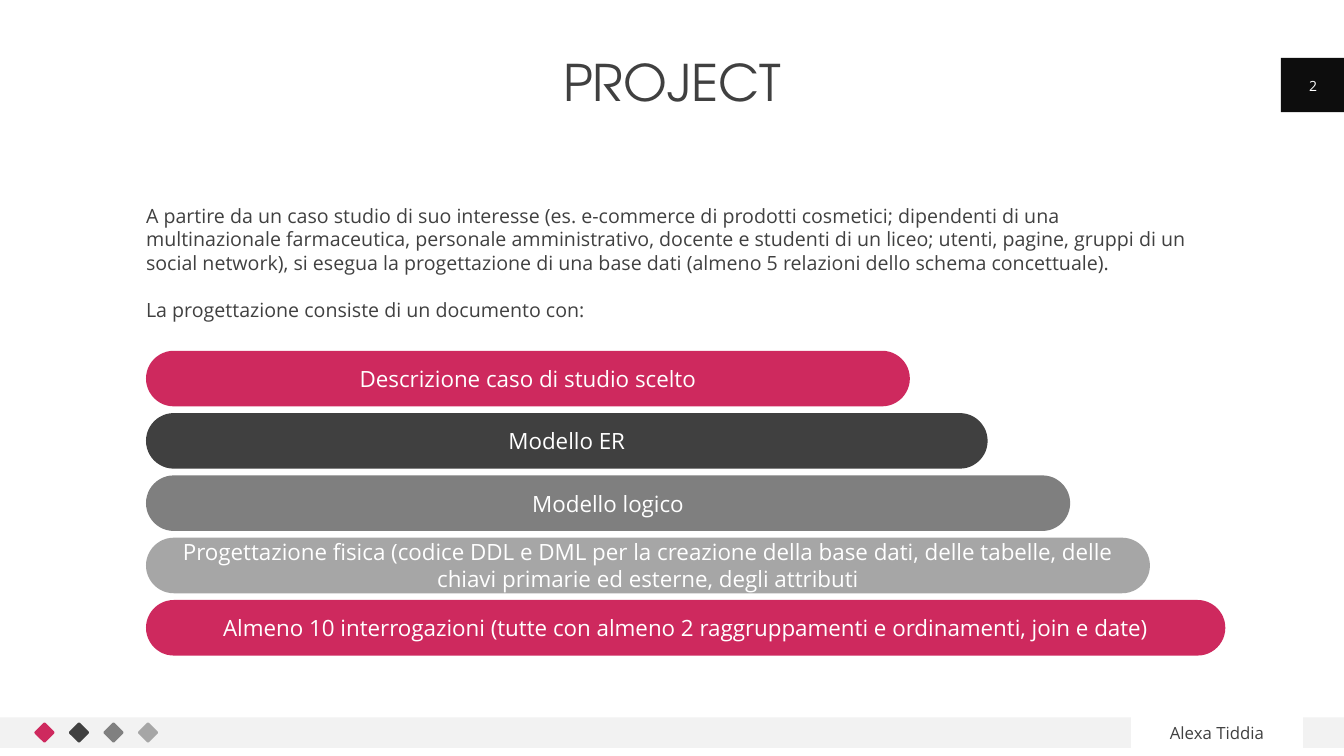
from pptx import Presentation
from pptx.dml.color import RGBColor
from pptx.enum.shapes import MSO_SHAPE as Kind
from pptx.enum.text import MSO_ANCHOR as Anchor, MSO_AUTO_SIZE as Fit, PP_ALIGN as Align
from pptx.oxml.ns import qn
from pptx.util import Cm, Pt
from lxml.etree import SubElement

HUES = {"pink": "CE295E", "dark": "404040", "grey": "7F7F7F", "mid": "808080",
        "light": "A6A6A6", "pale": "F2F2F2", "black": "0D0D0D", "white": "FFFFFF"}
SANS = "Open Sans"
INTRO = [
    "A partire da un caso studio di suo interesse (es. e-commerce di prodotti cosmetici; "
    "dipendenti di una multinazionale farmaceutica, personale amministrativo, docente e "
    "studenti di un liceo; utenti, pagine, gruppi di un social network), si esegua la "
    "progettazione di una base dati (almeno 5 relazioni dello schema concettuale).",
    "La progettazione consiste di un documento con:",
]
STEPS = [
    ("Descrizione caso di studio scelto", 19.25, "pink"),
    ("Modello ER", 21.21, "dark"),
    ("Modello logico", 23.29, "grey"),
    ("Progettazione fisica (codice DDL e DML per la creazione della base dati, delle "
     "tabelle, delle chiavi primarie ed esterne, degli attributi", 25.3, "light"),
    ("Almeno 10 interrogazioni (tutte con almeno 2 raggruppamenti e ordinamenti, "
     "join e date)", 27.2, "pink"),
]


def add_run(para, text, size, hue, font=SANS, align=Align.CENTER):
    para.alignment = align
    run = para.add_run()
    run.text = text
    run.font.name = font
    run.font.size = Pt(size)
    run.font.color.rgb = RGBColor.from_string(HUES[hue])


def add_form(slide, kind, box, hue, round_by=None):
    form = slide.shapes.add_shape(kind, *map(Cm, box))
    form.shadow.inherit = False
    form.fill.solid()
    form.fill.fore_color.rgb = RGBColor.from_string(HUES[hue])
    form.line.fill.background()
    if round_by is not None:
        form.adjustments[0] = round_by
    return form


def add_bar(slide, box, text, hue):
    frame = add_form(slide, Kind.ROUNDED_RECTANGLE, box, hue, 0.5).text_frame
    frame.word_wrap = True
    frame.vertical_anchor = Anchor.MIDDLE
    add_run(frame.paragraphs[0], text, 16, "white")


def add_label(slide, box, text, size, hue):
    frame = slide.shapes.add_textbox(*map(Cm, box)).text_frame
    frame.word_wrap = True
    frame.vertical_anchor = Anchor.MIDDLE
    add_run(frame.paragraphs[0], text, size, hue)


def place(holder, box):
    holder.left, holder.top, holder.width, holder.height = map(Cm, box)
    frame = holder.text_frame
    frame.margin_left = frame.margin_right = frame.margin_top = frame.margin_bottom = 0
    frame.vertical_anchor = Anchor.TOP
    frame.word_wrap = True
    frame.auto_size = Fit.NONE
    return frame


def add_intro(holder):
    frame = place(holder, (3.68, 5.13, 26.5, 3.6))
    for i, text in enumerate(INTRO):
        para = frame.add_paragraph() if i else frame.paragraphs[0]
        para.space_before = Pt(17 * i)
        add_run(para, text, 14, "dark", align=Align.LEFT)
        props = para._p.get_or_add_pPr()
        props.set("marL", "0")
        props.set("indent", "0")
        SubElement(props, qn("a:buNone"))


def main():
    """Build the project slide and save it."""
    deck = Presentation()
    deck.slide_width, deck.slide_height = Cm(33.87), Cm(19.05)
    slide = deck.slides.add_slide(deck.slide_layouts[1])

    for box, hue in [((0, 18.08, 28.5, 0.77), "pale"),
                     ((32.28, 1.46, 1.59, 1.37), "black"),
                     ((32.84, 18.08, 1.03, 0.77), "pale")]:
        add_form(slide, Kind.RECTANGLE, box, hue)
    for i, hue in enumerate(["pink", "dark", "mid", "light"]):
        gem = add_form(slide, Kind.ROUNDED_RECTANGLE,
                       (0.93 + 0.87 * i, 18.27, 0.38, 0.38), hue, 0.11)
        gem.rotation = 45

    title = place(slide.shapes.title, (2.34, 1.47, 29.2, 1.4)).paragraphs[0]
    title.line_spacing = 0.9
    add_run(title, "PROJECT", 36, "dark", "TeX Gyre Adventor")
    add_intro(slide.placeholders[1])
    for i, (text, width, hue) in enumerate(STEPS):
        add_bar(slide, (3.68, 8.84 + 1.57 * i, width, 1.4), text, hue)
    add_label(slide, (32.51, 1.65, 1.17, 1.02), "2", 10, "white")
    add_label(slide, (28.5, 18.08, 4.34, 0.77), "Alexa Tiddia", 12, "dark")
    deck.save("out.pptx")


if __name__ == "__main__":
    main()
